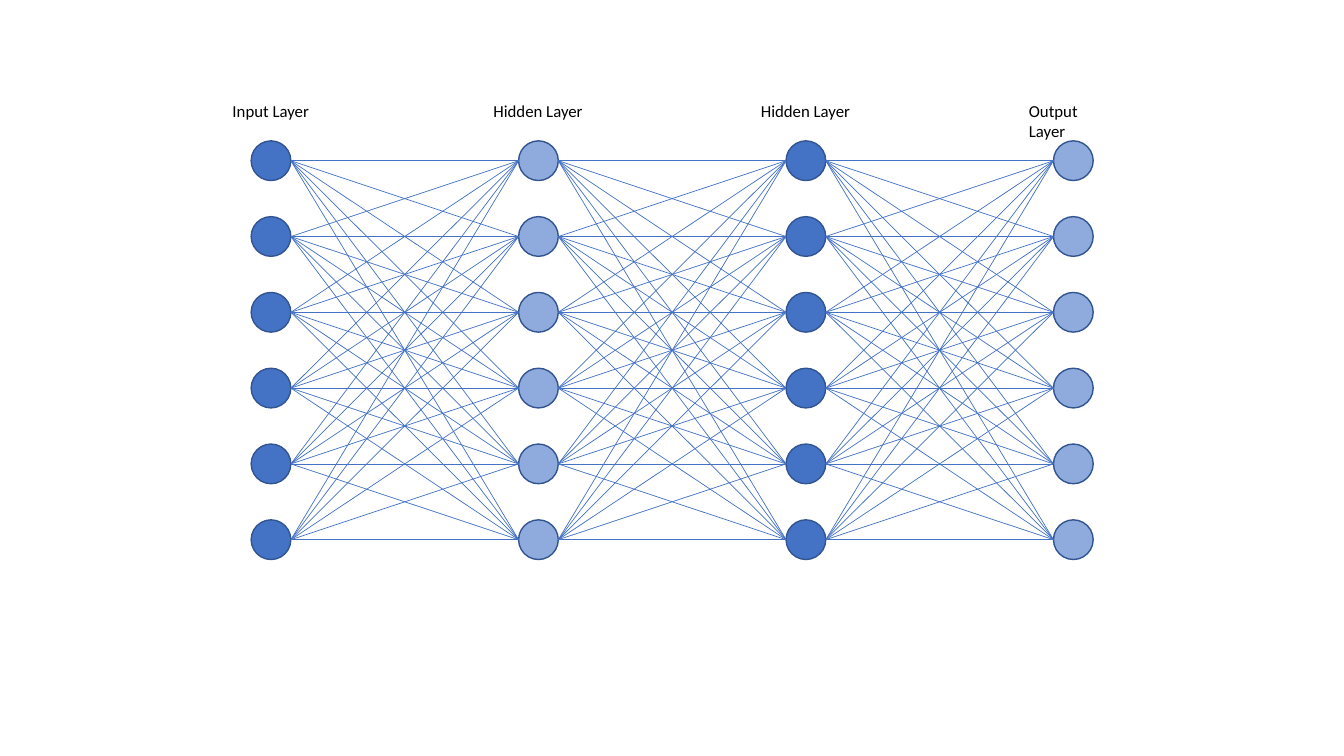
from itertools import pairwise, product

from lxml.etree import SubElement
from pptx import Presentation
from pptx.dml.color import RGBColor
from pptx.enum.shapes import MSO_CONNECTOR, MSO_SHAPE
from pptx.enum.text import MSO_AUTO_SIZE
from pptx.oxml.ns import qn
from pptx.util import Cm, Pt

COLORS = {
    "dark": "4472C4",
    "light": "8FAADC",
    "outline": "325491",
    "link": "4472C4",
    "text": "000000",
}
LAYERS = [
    ("Input Layer", 2.44, "dark"),
    ("Hidden Layer", 2.77, "light"),
    ("Hidden Layer", 2.77, "dark"),
    ("Output Layer", 2.74, "light"),
]
NEURONS_PER_LAYER = 6
FIRST_CENTER_X, LAYER_PITCH = 6.83, 6.74
FIRST_CENTER_Y, NEURON_PITCH = 4.05, 1.91
RADIUS = 0.5
LABEL_TOP, LABEL_HEIGHT = 2.42, 0.77


class NetworkSlide:
    font_name = "Calibri"
    font_size = Pt(12)

    def __init__(self, slide):
        self.slide = slide

    def color(self, name):
        return RGBColor.from_string(COLORS[name])

    def neuron(self, x, y, fill):
        shape = self.slide.shapes.add_shape(
            MSO_SHAPE.OVAL, Cm(x - RADIUS), Cm(y - RADIUS), Cm(2 * RADIUS), Cm(2 * RADIUS)
        )
        shape.shadow.inherit = False
        shape.fill.solid()
        shape.fill.fore_color.rgb = self.color(fill)
        shape.line.color.rgb = self.color("outline")
        shape.line.width = Pt(1)

    def link(self, start_x, start_y, end_x, end_y):
        connector = self.slide.shapes.add_connector(
            MSO_CONNECTOR.STRAIGHT, Cm(start_x), Cm(start_y), Cm(end_x), Cm(end_y)
        )
        connector.line.color.rgb = self.color("link")
        connector.line.width = Pt(0.5)
        SubElement(connector.element.spPr, qn("a:effectLst"))

    def label(self, center_x, width, text):
        shape = self.slide.shapes.add_textbox(
            Cm(center_x - width / 2), Cm(LABEL_TOP), Cm(width), Cm(LABEL_HEIGHT)
        )
        text_frame = shape.text_frame
        text_frame.word_wrap = False
        text_frame.auto_size = MSO_AUTO_SIZE.SHAPE_TO_FIT_TEXT
        text_frame.text = text
        font = text_frame.paragraphs[0].runs[0].font
        font.name = self.font_name
        font.size = self.font_size
        font.color.rgb = self.color("text")


def main():
    presentation = Presentation()
    presentation.slide_width = Cm(33.87)
    presentation.slide_height = Cm(19.05)
    network = NetworkSlide(presentation.slides.add_slide(presentation.slide_layouts[6]))

    layer_xs = [FIRST_CENTER_X + LAYER_PITCH * index for index in range(len(LAYERS))]
    neuron_ys = [FIRST_CENTER_Y + NEURON_PITCH * index for index in range(NEURONS_PER_LAYER)]

    for x, (name, width, fill) in zip(layer_xs, LAYERS):
        network.label(x, width, name)
        for y in neuron_ys:
            network.neuron(x, y, fill)

    for left_x, right_x in pairwise(layer_xs):
        for start_y, end_y in product(neuron_ys, repeat=2):
            network.link(left_x + RADIUS, start_y, right_x - RADIUS, end_y)

    presentation.save("out.pptx")


if __name__ == "__main__":
    main()
